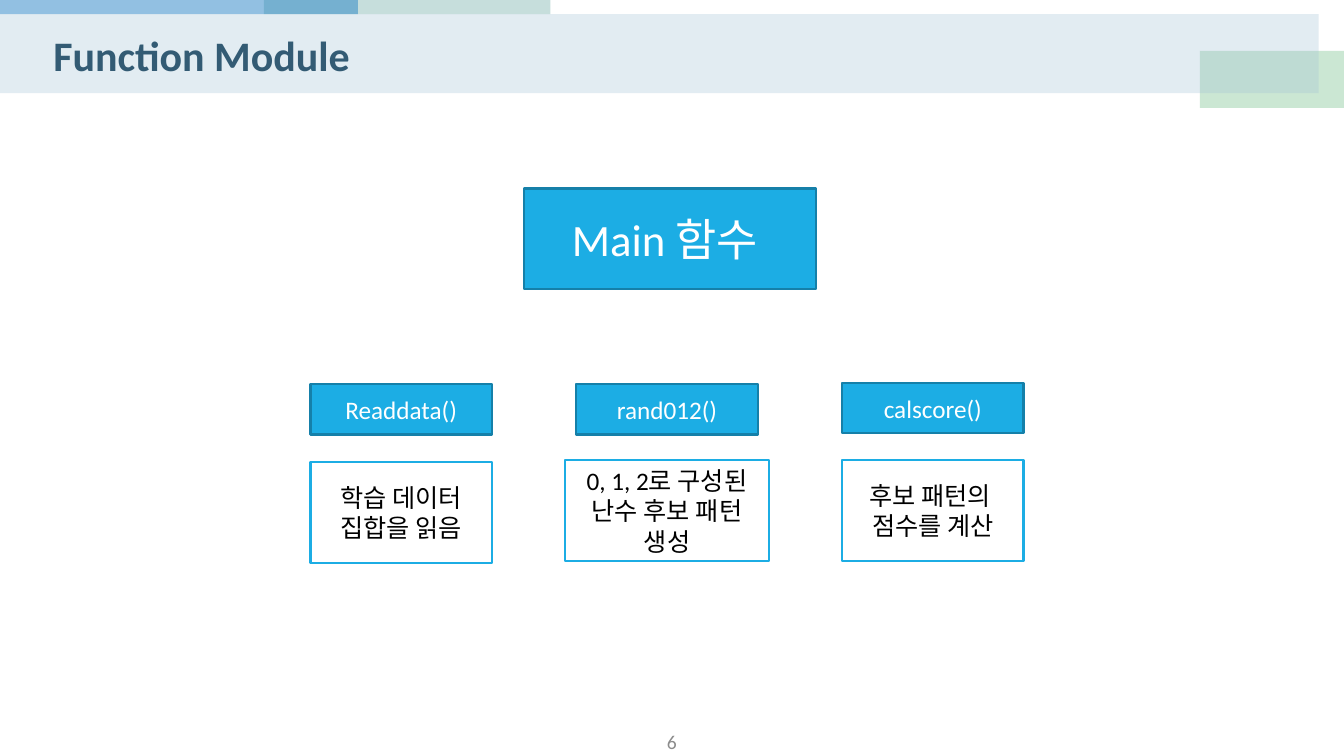
from dataclasses import dataclass

from lxml import etree
from pptx import Presentation
from pptx.dml.color import RGBColor
from pptx.enum.shapes import MSO_SHAPE
from pptx.enum.text import MSO_ANCHOR, PP_ALIGN
from pptx.oxml.ns import qn
from pptx.util import Cm, Pt

RECTANGLE = MSO_SHAPE.RECTANGLE
MIDDLE = MSO_ANCHOR.MIDDLE
CENTER = PP_ALIGN.CENTER
LEFT = PP_ALIGN.LEFT

FONT = "Calibri"
BLUE = "1CADE4"
DARK_BLUE = "1580A9"
WHITE = "FFFFFF"
BLACK = "000000"

FIRST_CENTER = 10.11
COLUMN_STEP = 6.7
BOX_WIDTH = 4.57
NAME_HEIGHT = 1.27
PURPOSE_HEIGHT = 2.54


@dataclass(frozen=True)
class Band:
    left: float
    top: float
    width: float
    height: float
    color: str
    opacity: int


@dataclass(frozen=True)
class Box:
    left: float
    top: float
    width: float
    height: float
    text: str
    size: int
    fill: str
    line: str
    text_color: str


@dataclass(frozen=True)
class Function:
    name: str
    purpose: str
    name_top: float
    purpose_top: float
    purpose_width: float = BOX_WIDTH


BANDS = [
    Band(6.65, 0, 7.22, 0.36, "A1C8C5", 60),
    Band(0, 0, 9.02, 0.36, "2683C6", 50),
    Band(30.24, 1.28, 3.63, 1.44, "7EC492", 40),
    Band(0, 0.36, 33.23, 1.99, "A0C1D5", 30),
]

FUNCTIONS = [
    Function("Readdata()", "학습 데이터 집합을 읽음", 9.68, 11.65),
    Function("rand012()", "0, 1, 2로 구성된\n난수 후보 패턴\n생성", 9.68, 11.6, 5.13),
    Function("calscore()", "후보 패턴의 \n점수를 계산", 9.65, 11.6),
]


def rgb(color: str) -> RGBColor:
    return RGBColor.from_string(color)


def write(frame, text: str, size: int, color: str, align=CENTER, bold: bool = False) -> None:
    frame.text = text
    frame.word_wrap = True
    frame.vertical_anchor = MIDDLE
    for paragraph in frame.paragraphs:
        paragraph.alignment = align
        for run in paragraph.runs:
            run.font.name = FONT
            run.font.size = Pt(size)
            run.font.bold = bold
            run.font.color.rgb = rgb(color)


def add_rectangle(slide, area: Band | Box, color: str):
    rectangle = slide.shapes.add_shape(
        RECTANGLE, Cm(area.left), Cm(area.top), Cm(area.width), Cm(area.height)
    )
    rectangle.shadow.inherit = False
    rectangle.fill.solid()
    rectangle.fill.fore_color.rgb = rgb(color)
    return rectangle


def draw_band(slide, band: Band) -> None:
    strip = add_rectangle(slide, band, band.color)
    strip.line.fill.background()
    tint = strip.fill._xPr.find(qn("a:solidFill"))[0]
    etree.SubElement(tint, qn("a:alpha"), val=str(band.opacity * 1000))


def draw_box(slide, box: Box) -> None:
    panel = add_rectangle(slide, box, box.fill)
    panel.line.color.rgb = rgb(box.line)
    panel.line.width = Pt(1.5)
    write(panel.text_frame, box.text, box.size, box.text_color)


def draw_function(slide, function: Function, column: int) -> None:
    center = FIRST_CENTER + column * COLUMN_STEP
    draw_box(slide, Box(center - BOX_WIDTH / 2, function.name_top, BOX_WIDTH, NAME_HEIGHT,
                        function.name, 18, BLUE, DARK_BLUE, WHITE))
    draw_box(slide, Box(center - function.purpose_width / 2, function.purpose_top,
                        function.purpose_width, PURPOSE_HEIGHT,
                        function.purpose, 18, WHITE, BLUE, BLACK))


def main() -> None:
    deck = Presentation()
    deck.slide_width, deck.slide_height = Cm(33.87), Cm(19.05)
    slide = deck.slides.add_slide(deck.slide_layouts[5])

    for band in BANDS:
        draw_band(slide, band)

    heading = slide.shapes.title
    heading.left, heading.top = Cm(1.09), Cm(0.51)
    heading.width, heading.height = Cm(31.62), Cm(1.75)
    write(heading.text_frame, "Function Module", 30, "335B74", LEFT, True)
    slide.shapes._spTree.append(heading._element)

    page_number = slide.shapes.add_textbox(Cm(12.98), Cm(18.34), Cm(7.9), Cm(0.69))
    write(page_number.text_frame, "6", 14, "8C8C8C")

    draw_box(slide, Box(13.2, 4.75, 7.37, 2.54, "Main 함수 ", 32, BLUE, DARK_BLUE, WHITE))
    for column, function in enumerate(FUNCTIONS):
        draw_function(slide, function, column)

    deck.save("out.pptx")


if __name__ == "__main__":
    main()
